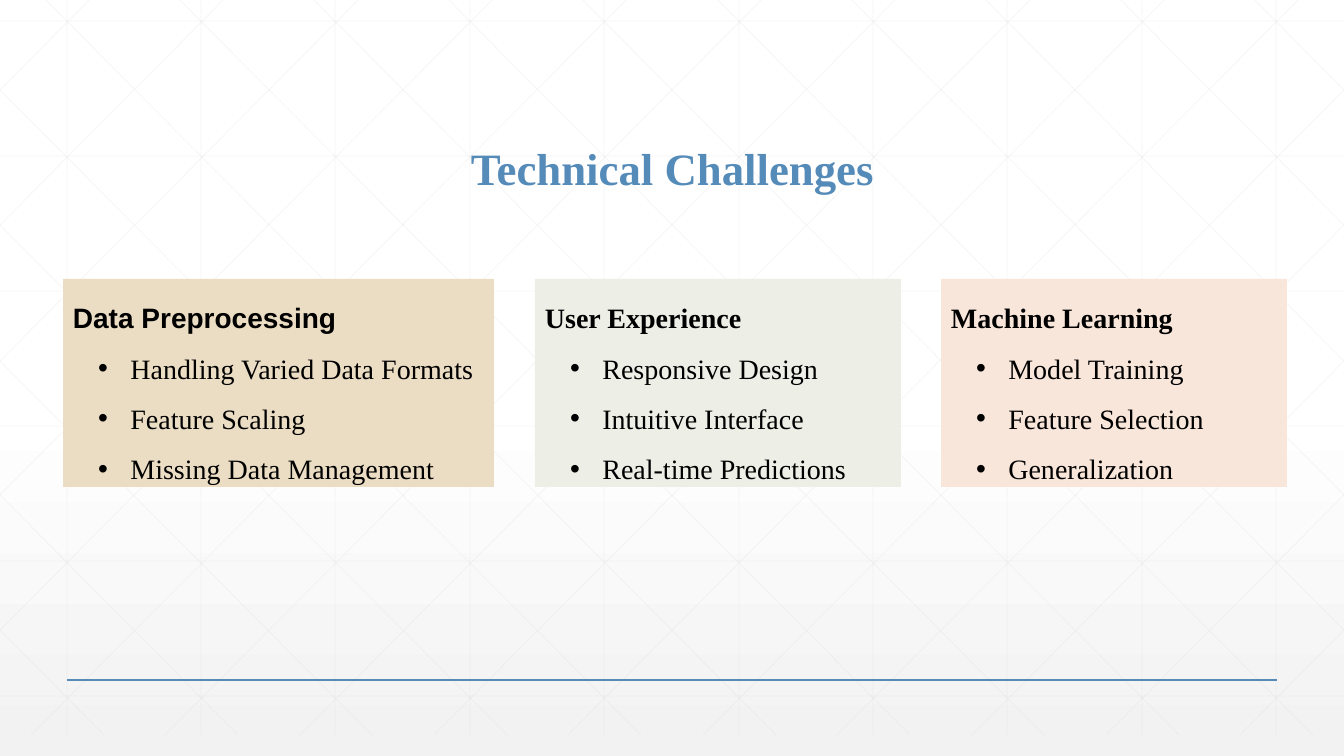
import lxml.etree
import pptx
import pptx.dml.color
import pptx.enum.shapes
import pptx.enum.text
import pptx.oxml.ns
import pptx.util

PX = 914400 / 100.8
WIDTH, HEIGHT = 1344, 756
GRID_TOP, GRID_BOTTOM = -21, 735
SERIF = "Times New Roman"
colour = pptx.dml.color.RGBColor.from_string
qn = pptx.oxml.ns.qn
align = pptx.enum.text.PP_ALIGN


def write(paragraph, text, size=20, font=SERIF, ink="000000", bold=False,
          alignment=align.LEFT, spacing=1.5, bullet=None):
    run = paragraph.add_run()
    run.text = text
    run.font.size = pptx.util.Pt(size)
    run.font.name = font
    run.font.bold = bold
    run.font.color.rgb = colour(ink)
    paragraph.alignment = alignment
    paragraph.line_spacing = spacing
    if bullet:
        paragraph.level = 1
        properties = paragraph._p.get_or_add_pPr()
        properties.set("marL", str(pptx.util.Inches(0.5)))
        properties.set("indent", str(-pptx.util.Inches(0.25)))
        lxml.etree.SubElement(properties, qn("a:buFont")).set("typeface", "Arial")
        lxml.etree.SubElement(properties, qn("a:buChar")).set("char", bullet)


def draw_line(shapes, ends, ink, width, opacity=100):
    line = shapes.add_connector(pptx.enum.shapes.MSO_CONNECTOR.STRAIGHT,
                                *[round(end * PX) for end in ends])
    line.line.color.rgb = colour(ink)
    line.line.width = pptx.util.Pt(width)
    if opacity < 100:
        tone = line._element.spPr.find(".//" + qn("a:srgbClr"))
        lxml.etree.SubElement(tone, qn("a:alpha")).set("val", str(opacity * 1000))
    lxml.etree.SubElement(line._element.spPr, qn("a:effectLst"))


deck = pptx.Presentation()
deck.slide_width = round(WIDTH * PX)
deck.slide_height = round(HEIGHT * PX)
slide = deck.slides.add_slide(deck.slide_layouts[5])

backdrop = slide.background.fill
backdrop.gradient()
backdrop.gradient_angle = 270
for stop, position, shade in zip(backdrop.gradient_stops, (0.53, 1), ("FFFFFF", "F2F2F2")):
    stop.position = position
    stop.color.rgb = colour(shade)

grid = []
for column in range(10):
    x = 67 + 1344 * column // 10
    grid.append((x, GRID_TOP, x, GRID_BOTTOM))
for row in range(6):
    y = 21 + 135 * row
    grid.append((0, y, WIDTH, y))
for step in range(-5, 10):
    start = 25 + 1344 * step // 10
    left, right = max(0, start), min(WIDTH, start + 751)
    top, bottom = [round(GRID_TOP + (x - start) * 756 / 751) for x in (left, right)]
    grid.append((left, top, right, bottom))
    grid.append((WIDTH - left, top, WIDTH - right, bottom))

lattice = slide.shapes.add_group_shape()
for ends in grid:
    draw_line(lattice.shapes, ends, "D9D9D9", 0.5, opacity=25)
draw_line(slide.shapes, (67, 680, 1277, 680), "558BB8", 1)

heading = slide.shapes.title
slide.shapes._spTree.append(heading._element)
heading.left, heading.top, heading.width, heading.height = [
    round(length * PX) for length in (457, 140, 431, 60)]
heading.text_frame.vertical_anchor = pptx.enum.text.MSO_ANCHOR.BOTTOM
heading.text_frame.auto_size = pptx.enum.text.MSO_AUTO_SIZE.NONE
write(heading.text_frame.paragraphs[0], "Technical Challenges", size=32, ink="558BB8",
      bold=True, alignment=align.CENTER, spacing=0.9)

challenges = [
    (63, 431, "EBDDC3", "Arial", "Data Preprocessing",
     (" Handling Varied Data Formats", " Feature Scaling", " Missing Data Management")),
    (535, 366, "EDEEE6", SERIF, "User Experience",
     (" Responsive Design", " Intuitive Interface", " Real-time Predictions")),
    (941, 346, "F8E6DA", SERIF, "Machine Learning",
     (" Model Training", " Feature Selection", " Generalization")),
]
for left, width, tint, font, topic, points in challenges:
    panel = slide.shapes.add_shape(
        pptx.enum.shapes.MSO_SHAPE.RECTANGLE,
        *[round(length * PX) for length in (left, 279, width, 208)])
    panel.shadow.inherit = False
    panel.fill.solid()
    panel.fill.fore_color.rgb = colour(tint)
    panel.line.fill.background()
    frame = panel.text_frame
    frame.word_wrap = True
    frame.auto_size = pptx.enum.text.MSO_AUTO_SIZE.SHAPE_TO_FIT_TEXT
    frame.vertical_anchor = pptx.enum.text.MSO_ANCHOR.TOP
    write(frame.paragraphs[0], topic, font=font, bold=True)
    for point in points:
        write(frame.add_paragraph(), point, bullet="•")

deck.save("out.pptx")
